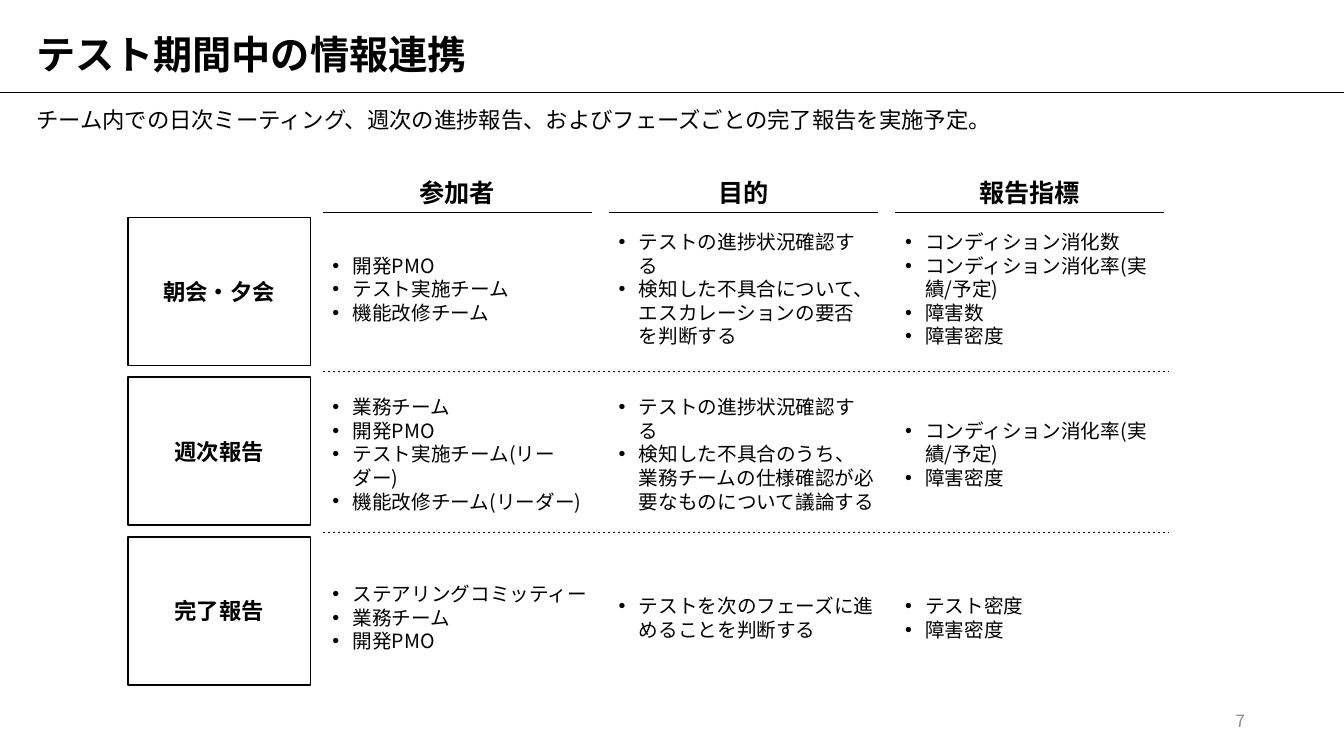
"""Build the slide on how information is shared during the test period."""
from lxml.etree import SubElement
from pptx import Presentation
from pptx.dml.color import RGBColor
from pptx.enum.dml import MSO_LINE
from pptx.enum.shapes import MSO_CONNECTOR, MSO_SHAPE
from pptx.enum.text import MSO_ANCHOR, MSO_AUTO_SIZE, PP_ALIGN
from pptx.oxml.ns import qn
from pptx.util import Pt

THEME = {
    "font": "Noto Sans CJK JP",
    "ink": RGBColor(0, 0, 0),
    "paper": RGBColor(255, 255, 255),
    "muted": RGBColor(0x8C, 0x8C, 0x8C),
    "title": Pt(28),
    "heading": Pt(18),
    "label": Pt(16),
    "body": Pt(14),
    "page": Pt(12),
}

PROGRESS = "テストの進捗状況確認する"
RATE = "コンディション消化率(実績/予定)"
MEETINGS = ["朝会・夕会", "週次報告", "完了報告"]
COLUMNS = {
    "参加者": [
        ["開発PMO", "テスト実施チーム", "機能改修チーム"],
        ["業務チーム", "開発PMO", "テスト実施チーム(リーダー)", "機能改修チーム(リーダー)"],
        ["ステアリングコミッティー", "業務チーム", "開発PMO"],
    ],
    "目的": [
        [PROGRESS, "検知した不具合について、エスカレーションの要否を判断する"],
        [PROGRESS, "検知した不具合のうち、業務チームの仕様確認が必要なものについて議論する"],
        ["テストを次のフェーズに進めることを判断する"],
    ],
    "報告指標": [
        ["コンディション消化数", RATE, "障害数", "障害密度"],
        [RATE, "障害密度"],
        ["テスト密度", "障害密度"],
    ],
}

SLIDE_WIDTH = 960
COLUMN_LEFT, COLUMN_STEP, COLUMN_WIDTH = 230.4, 204.5, 192.2
MEETING_TOP, MEETING_STEP = 155.3, 114.1
DETAIL_TOPS = [177.8, 295.9, 412.6]


def write(shape, lines, size, color="ink", bold=False, bullet=False,
          anchor=MSO_ANCHOR.MIDDLE, wrap=True, **paragraph_format):
    """Fill a shape with one paragraph per line."""
    frame = shape.text_frame
    frame.word_wrap = wrap
    frame.vertical_anchor = anchor
    for index, line in enumerate(lines):
        paragraph = frame.add_paragraph() if index else frame.paragraphs[0]
        for key, value in paragraph_format.items():
            setattr(paragraph, key, value)
        if bullet:
            properties = paragraph._p.get_or_add_pPr()
            properties.set("marL", str(Pt(14.4)))
            properties.set("indent", str(-Pt(14.4)))
            SubElement(properties, qn("a:buFont"), typeface="Arial")
            SubElement(properties, qn("a:buChar"), char="•")
        run = paragraph.add_run()
        run.text = line
        font_format = {"name": THEME["font"], "size": THEME[size], "bold": bold}
        for key, value in font_format.items():
            setattr(run.font, key, value)
        run.font.color.rgb = THEME[color]
        SubElement(run._r.get_or_add_rPr(), qn("a:ea"), typeface=THEME["font"])


def rule(left, right, y, dash=None):
    """Draw a thin horizontal line."""
    line = slide.shapes.add_connector(
        MSO_CONNECTOR.STRAIGHT, Pt(left), Pt(y), Pt(right), Pt(y))
    line.line.color.rgb = THEME["ink"]
    for key, value in {"width": Pt(0.5), "dash_style": dash}.items():
        setattr(line.line, key, value)
    SubElement(line._element.spPr, qn("a:effectLst"))


presentation = Presentation()
presentation.slide_width = Pt(SLIDE_WIDTH)
presentation.slide_height = Pt(540)
slide = presentation.slides.add_slide(presentation.slide_layouts[6])

rule(0, SLIDE_WIDTH, 66.2)
title = slide.shapes.add_textbox(Pt(18.7), Pt(15.1), Pt(913.7), Pt(50.4))
write(title, ["テスト期間中の情報連携"], "title", bold=True, line_spacing=0.9)
summary = slide.shapes.add_textbox(Pt(18.7), Pt(74.2), Pt(913.7), Pt(27.4))
write(summary, ["チーム内での日次ミーティング、週次の進捗報告、およびフェーズごとの完了報告を実施予定。"],
      "label", anchor=MSO_ANCHOR.TOP, line_spacing=0.9)
page_number = slide.shapes.add_textbox(Pt(680.4), Pt(500.4), Pt(216), Pt(28.8))
write(page_number, ["7"], "page", color="muted", alignment=PP_ALIGN.RIGHT)

for row, name in enumerate(MEETINGS):
    meeting = slide.shapes.add_shape(
        MSO_SHAPE.RECTANGLE, Pt(91.4), Pt(MEETING_TOP + row * MEETING_STEP), Pt(130.3), Pt(105.8))
    meeting.shadow.inherit = False
    meeting.fill.solid()
    meeting.fill.fore_color.rgb = THEME["paper"]
    meeting.line.color.rgb = THEME["ink"]
    meeting.line.width = Pt(1)
    write(meeting, [name], "label", bold=True, alignment=PP_ALIGN.CENTER)

for divider_y in (265, 380.2):
    rule(COLUMN_LEFT, 835.2, divider_y, MSO_LINE.DASH)

for column, (name, details) in enumerate(COLUMNS.items()):
    left = COLUMN_LEFT + column * COLUMN_STEP
    heading_width = 18 * len(name) + 15
    heading = slide.shapes.add_textbox(
        Pt(left + (COLUMN_WIDTH - heading_width) / 2), Pt(123.1), Pt(heading_width), Pt(28.8))
    write(heading, [name], "heading", bold=True, anchor=MSO_ANCHOR.TOP, wrap=False,
          alignment=PP_ALIGN.CENTER)
    heading.text_frame.auto_size = MSO_AUTO_SIZE.SHAPE_TO_FIT_TEXT
    rule(left, left + COLUMN_WIDTH, 151.9)
    for top, points in zip(DETAIL_TOPS, details):
        detail = slide.shapes.add_textbox(Pt(left), Pt(top), Pt(196.6), Pt(56.9))
        write(detail, points, "body", bullet=True)

presentation.save("out.pptx")
